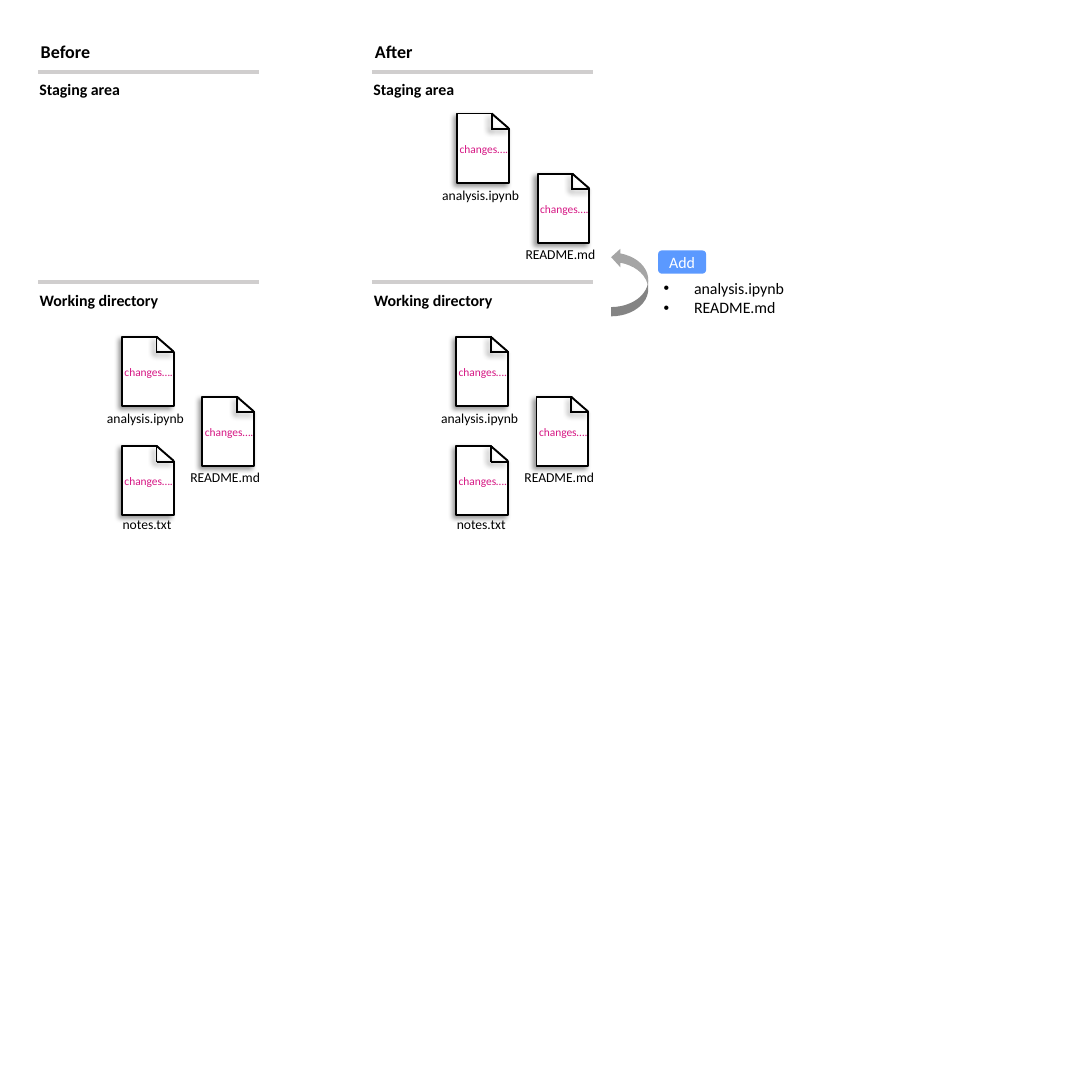
from dataclasses import dataclass

from lxml import etree
from pptx import Presentation
from pptx.dml.color import RGBColor
from pptx.enum.shapes import MSO_CONNECTOR, MSO_SHAPE
from pptx.enum.text import MSO_ANCHOR, MSO_AUTO_SIZE, PP_ALIGN
from pptx.oxml.ns import qn
from pptx.util import Cm, Pt

STRAIGHT = MSO_CONNECTOR.STRAIGHT
RECT, TRIANGLE = MSO_SHAPE.RECTANGLE, MSO_SHAPE.ISOSCELES_TRIANGLE
PILL, ARROW = MSO_SHAPE.ROUNDED_RECTANGLE, MSO_SHAPE.CURVED_LEFT_ARROW
MIDDLE, CENTER = MSO_ANCHOR.MIDDLE, PP_ALIGN.CENTER
NO_FIT, GROW = MSO_AUTO_SIZE.NONE, MSO_AUTO_SIZE.SHAPE_TO_FIT_TEXT


@dataclass(frozen=True)
class Theme:
    """Colours, font and type sizes."""
    font: str = "Calibri"
    ink: RGBColor = RGBColor(0, 0, 0)
    paper: RGBColor = RGBColor(255, 255, 255)
    rule: RGBColor = RGBColor.from_string("D0CECE")
    change: RGBColor = RGBColor.from_string("D61784")
    command: RGBColor = RGBColor.from_string("5B99FF")
    arrow: RGBColor = RGBColor.from_string("A5A5A5")
    title: float = 14
    body: float = 12.4
    label: float = 10.6
    small: float = 8.9


theme = Theme()


def write(sp, text, size, color=theme.ink, bold=False, wrap=False, fit=GROW):
    """Put text, one paragraph per line, into a shape and style it."""
    tf = sp.text_frame
    tf.text = text
    tf.word_wrap = wrap
    tf.auto_size = fit
    for p in tf.paragraphs:
        p.font.name = theme.font
        p.font.size = Pt(size)
        p.font.color.rgb = color
        p.font.bold = bold
    return tf


def stroke(sp, color, width, shadow):
    """Set the outline of a shape or connector, with or without a soft shadow."""
    sp.line.color.rgb = color
    sp.line.width = Pt(width)
    effects = etree.SubElement(sp._element.spPr, qn("a:effectLst"))
    if shadow:
        outer = etree.SubElement(effects, qn("a:outerShdw"), blurRad=str(Pt(4)),
                                 dist=str(Pt(3)), dir=str(135 * 60000),
                                 algn="tr", rotWithShape="0")
        black = etree.SubElement(outer, qn("a:srgbClr"), val=str(theme.ink))
        etree.SubElement(black, qn("a:alpha"), val="40000")


prs = Presentation()
prs.slide_width = prs.slide_height = Cm(30)
s = prs.slides.add_slide(prs.slide_layouts[6])

COLUMN_STEP = 9.18
STAGING_DX, STAGING_DY = 0.03, -6.13

# name: page corner, label left, top and width (first column, working directory)
FILES = {
    "README.md": (5.56, 10.9, 4.98, 12.75, 2.46),
    "analysis.ipynb": (3.35, 9.25, 2.69, 11.13, 2.67),
    "notes.txt": (3.35, 12.25, 3.12, 14.05, 1.88),
}
# folded corner: start, end (from the page corner), shadow
FOLD = [
    (0.95, 0, 1.41, 0.4, False),
    (0.95, 0, 0.95, 0.44, True),
    (0.97, 0.43, 1.44, 0.43, True),
]

# Column headings and rules; collect every file with its shift
placed = []
for column, title in enumerate(("Before", "After")):
    dx = column * COLUMN_STEP
    for text, x, y, w, h, size in (
        (title, 0.87, 0.99, (1.88, 1.57)[column], 0.86, theme.title),
        ("Staging area", 0.83, 2.06, 2.77, 0.79, theme.body),
        ("Working directory", 0.84, 7.85, 3.81, 0.79, theme.body),
    ):
        tb = s.shapes.add_textbox(Cm(x + dx), Cm(y), Cm(w), Cm(h))
        write(tb, text, size, bold=True)
    for y in (1.98, 7.75):
        rule = s.shapes.add_connector(STRAIGHT, Cm(7.11 + dx), Cm(y), Cm(1.04 + dx), Cm(y))
        stroke(rule, theme.rule, 3, False)
    placed += [(name, dx, 0) for name in FILES]
placed += [(name, COLUMN_STEP + STAGING_DX, STAGING_DY)
           for name in ("README.md", "analysis.ipynb")]

# Files with their labels
for name, dx, dy in placed:
    x, y, label_x, label_y, label_w = FILES[name]
    label = s.shapes.add_textbox(Cm(label_x + dx), Cm(label_y + dy), Cm(label_w), Cm(0.71))
    write(label, name, theme.label)

    x, y = x + dx, y + dy
    doc = s.shapes.add_group_shape().shapes
    page = doc.add_shape(RECT, Cm(x), Cm(y), Cm(1.42), Cm(1.9))
    page.fill.solid()
    page.fill.fore_color.rgb = theme.paper
    stroke(page, theme.ink, 1.5, True)

    corner = doc.add_shape(TRIANGLE, Cm(x + 0.75), Cm(y - 0.21), Cm(1.22), Cm(0.46))
    corner.adjustments[0] = 0.47
    corner.rotation = 221.5
    corner._element.spPr.find(qn("a:xfrm")).set("flipV", "1")
    corner.fill.solid()
    corner.fill.fore_color.rgb = theme.paper
    corner.line.fill.background()
    corner.shadow.inherit = False

    for x1, y1, x2, y2, shadow in FOLD:
        fold = doc.add_connector(STRAIGHT, Cm(x + x1), Cm(y + y1), Cm(x + x2), Cm(y + y2))
        stroke(fold, theme.ink, 1.5, shadow)
    tb = doc.add_textbox(Cm(x - 0.18), Cm(y + 0.66), Cm(2.36), Cm(1.02))
    write(tb, "changes….", theme.small, theme.change, wrap=True)

# Add command with the files it stages
command = s.shapes.add_group_shape().shapes
pill = command.add_shape(PILL, Cm(18.08), Cm(6.88), Cm(1.32), Cm(0.64))
arrow = s.shapes.add_shape(ARROW, Cm(16.79), Cm(6.81), Cm(1.02), Cm(1.88))
arrow.rotation = 180
arrow._element.spPr.find(qn("a:xfrm")).set("flipH", "1")
for sp, color in ((pill, theme.command), (arrow, theme.arrow)):
    sp.fill.solid()
    sp.fill.fore_color.rgb = color
    sp.line.fill.background()
    sp.shadow.inherit = False

tf = write(pill, "Add", theme.body, theme.paper, wrap=True, fit=NO_FIT)
tf.vertical_anchor = MIDDLE
tf.paragraphs[0].alignment = CENTER

tb = command.add_textbox(Cm(17.98), Cm(7.54), Cm(3.89), Cm(1.32))
for p in write(tb, "analysis.ipynb\nREADME.md", theme.body).paragraphs:
    pPr = p._p.get_or_add_pPr()
    pPr.set("marL", str(Cm(0.84)))
    pPr.set("indent", str(-Cm(0.84)))
    bullet = etree.Element(qn("a:buChar"), char="•")
    pPr.find(qn("a:defRPr")).addprevious(bullet)
    bullet.addprevious(etree.Element(qn("a:buFont"), typeface="Arial"))

prs.save("out.pptx")
